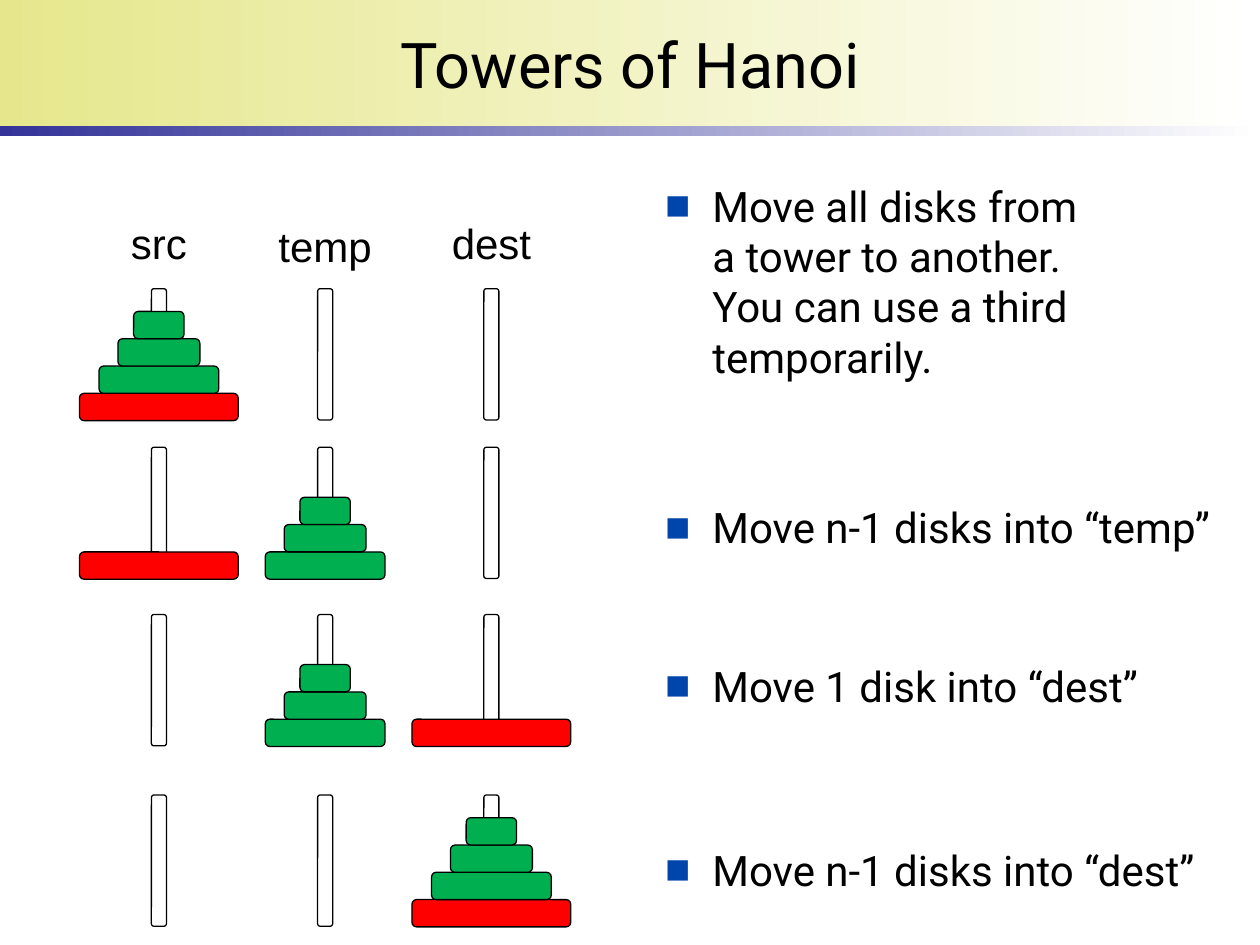
from lxml.etree import SubElement
from pptx import Presentation
from pptx.dml.color import RGBColor
from pptx.enum.shapes import MSO_SHAPE
from pptx.enum.text import MSO_ANCHOR, PP_ALIGN
from pptx.oxml.ns import qn
from pptx.util import Pt

COLORS = {
    "text": "000000",
    "outline": "000000",
    "bullet": "0046AA",
    "peg": "FFFFFF",
    "large_disk": "FF0000",
    "small_disk": "00B050",
    "banner": "E6E78C",
    "rule": "333399",
    "fade": "FFFFFF",
}
PEG_WIDTH, PEG_HEIGHT = 8.6, 75
DISK_WIDTHS = [28.8, 46.8, 68.4, 90.7]  # smallest to largest
DISK_HEIGHT = 15.6
TOWER_PITCH = 95
SRC, TEMP, DEST = range(3)
ALL_DISKS, SMALL_DISKS, LARGEST = [0, 1, 2, 3], [0, 1, 2], [3]


def rgb(name):
    return RGBColor.from_string(COLORS[name])


def add_bullet(paragraph, indent):
    properties = paragraph._p.get_or_add_pPr()
    properties.set("marL", str(Pt(indent)))
    properties.set("indent", str(-Pt(indent)))
    color = SubElement(properties, qn("a:buClr"))
    SubElement(color, qn("a:srgbClr"), val=COLORS["bullet"])
    SubElement(properties, qn("a:buFont"), typeface="Arial")
    SubElement(properties, qn("a:buChar"), char="■")


def add_text(slide, text, left, top, width, height, size=24, font="Roboto",
             align=PP_ALIGN.LEFT, anchor=MSO_ANCHOR.TOP, wrap=True, bullet=False):
    box = slide.shapes.add_textbox(Pt(left), Pt(top), Pt(width), Pt(height))
    frame = box.text_frame
    frame.word_wrap = wrap
    frame.vertical_anchor = anchor
    paragraph = frame.paragraphs[0]
    paragraph.text = text
    paragraph.alignment = align
    if bullet:
        add_bullet(paragraph, indent=27)
    paragraph.font.size = Pt(size)
    paragraph.font.name = font
    paragraph.font.color.rgb = rgb("text")


def add_gradient_band(slide, left, top, width, height, color):
    band = slide.shapes.add_shape(
        MSO_SHAPE.RECTANGLE, Pt(left), Pt(top), Pt(width), Pt(height))
    band.shadow.inherit = False
    band.line.fill.background()
    band.fill.gradient()
    band.fill.gradient_angle = 0
    for stop, name in zip(band.fill.gradient_stops, (color, "fade")):
        stop.color.rgb = rgb(name)


def add_header(slide, left, top, width, height):
    add_gradient_band(slide, left, top, width, height, "banner")
    add_gradient_band(slide, left, top + height, width, 5.76, "rule")
    add_text(slide, "Towers of Hanoi", left, top, width, height, size=36,
             align=PP_ALIGN.CENTER, anchor=MSO_ANCHOR.MIDDLE)


def add_rounded_bar(group, center, top, width, height, color):
    bar = group.shapes.add_shape(
        MSO_SHAPE.ROUNDED_RECTANGLE,
        Pt(center - width / 2), Pt(top), Pt(width), Pt(height))
    bar.shadow.inherit = False
    bar.fill.solid()
    bar.fill.fore_color.rgb = rgb(color)
    bar.line.color.rgb = rgb("outline")
    bar.line.width = Pt(0.75)


def add_tower(group, center, top, disks):
    """Draw a peg with the given disks stacked from its foot upward."""
    add_rounded_bar(group, center, top, PEG_WIDTH, PEG_HEIGHT, "peg")
    for level, disk in enumerate(reversed(disks), start=1):
        color = "large_disk" if disk in LARGEST else "small_disk"
        add_rounded_bar(group, center, top + PEG_HEIGHT + 0.4 - level * DISK_HEIGHT,
                        DISK_WIDTHS[disk], DISK_HEIGHT, color)


def add_stage(slide, first_center, top, stacks):
    """Draw the three towers of one step, as one group."""
    group = slide.shapes.add_group_shape()
    for tower in (SRC, TEMP, DEST):
        add_tower(group, first_center + tower * TOWER_PITCH, top, stacks.get(tower, []))


def add_tower_labels(slide, first_center, top):
    labels = [("src", 47, 0), ("temp", 68, 1.4), ("dest", 60, 0)]
    for tower, (label, width, drop) in enumerate(labels):
        center = first_center + tower * TOWER_PITCH
        add_text(slide, label, center - width / 2, top + drop, width, 36,
                 font="Arial", align=PP_ALIGN.CENTER, wrap=False)


def add_steps(slide, left):
    steps = [
        ("Move all disks from a tower to another. You can use a third temporarily.",
         99.4, 260),
        ("Move n-1 disks into “temp”", 283, 338),
        ("Move 1 disk into “dest”", 373.7, 338),
        ("Move n-1 disks into “dest”", 478.8, 338),
    ]
    for step, top, width in steps:
        add_text(slide, step, left, top, width, 48, bullet=True)


def main():
    presentation = Presentation()
    presentation.slide_width, presentation.slide_height = Pt(720), Pt(540)
    slide = presentation.slides.add_slide(presentation.slide_layouts[6])

    add_header(slide, 0, 0, 720, 72)
    first_center = 90.8
    stages = [
        (165, {SRC: ALL_DISKS}),
        (255.6, {SRC: LARGEST, TEMP: SMALL_DISKS}),
        (351.2, {TEMP: SMALL_DISKS, DEST: LARGEST}),
        (454.3, {DEST: ALL_DISKS}),
    ]
    for top, stacks in stages:
        add_stage(slide, first_center, top, stacks)
    add_tower_labels(slide, first_center, 121)
    add_steps(slide, 373)

    presentation.save("out.pptx")


if __name__ == "__main__":
    main()
